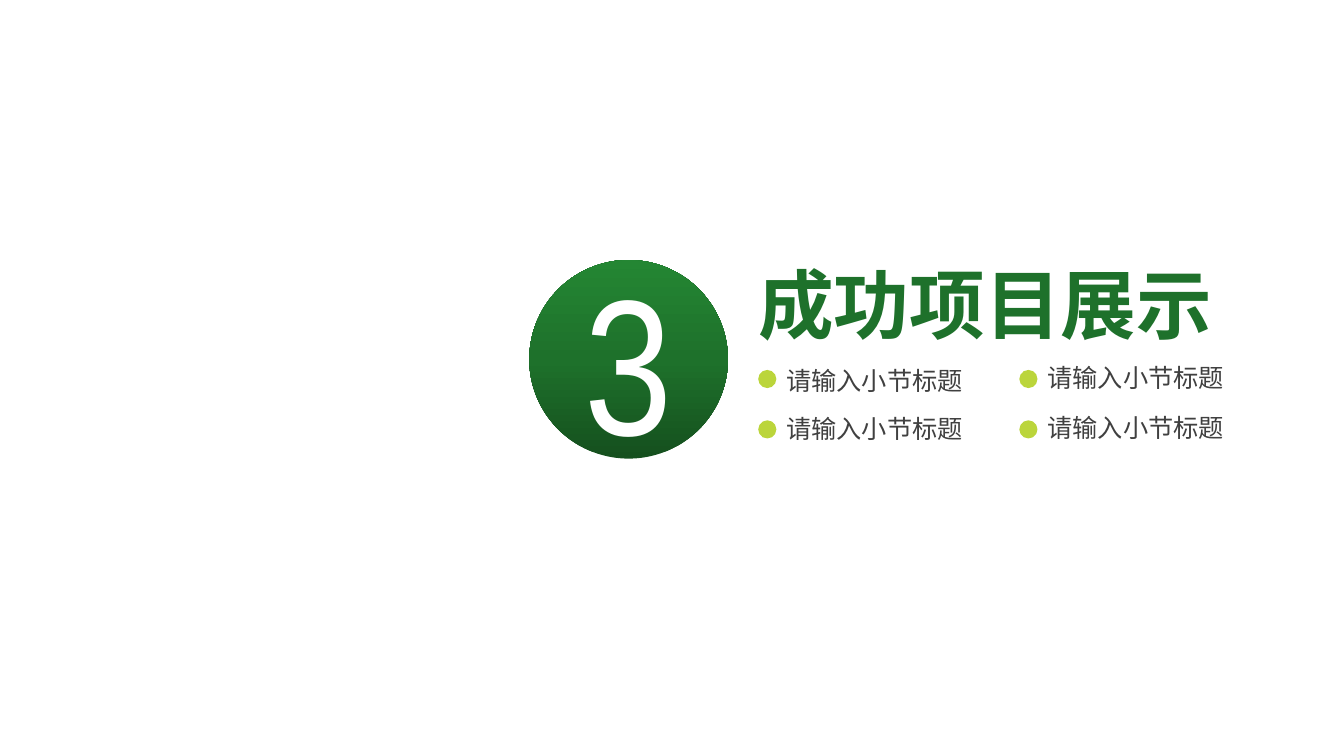
from copy import deepcopy

from lxml.etree import SubElement
from pptx import Presentation
from pptx.dml.color import RGBColor
from pptx.enum.shapes import MSO_SHAPE as Preset
from pptx.enum.text import MSO_ANCHOR as Anchor, MSO_AUTO_SIZE as AutoSize, PP_ALIGN as Align
from pptx.oxml.ns import qn
from pptx.util import Inches, Pt

DARK_GREEN = RGBColor(0x15, 0x50, 0x1E)
MID_GREEN = RGBColor(0x1E, 0x71, 0x2B)
BRIGHT_GREEN = RGBColor(0x24, 0x86, 0x33)
LIME = RGBColor(0xBB, 0xD5, 0x3B)
GRAY = RGBColor(0x40, 0x40, 0x40)
WHITE = RGBColor(0xFF, 0xFF, 0xFF)

CHINESE_FONT = "Noto Sans CJK SC"
TITLE_FORMAT = {"name": CHINESE_FONT, "size": Pt(54), "bold": True}
SECTION_FORMAT = {"name": CHINESE_FONT, "size": Pt(18)}
NUMBER_FORMAT = {"name": "Arial Narrow", "size": Pt(138)}

DOT_SIZE = 0.18
DOT_LEFTS = (7.52, 10.11)
DOT_TOPS = (3.67, 4.17)
SECTION_TOPS = ((3.58, 3.55), (4.05, 4.04))
SECTION_TITLE = "请输入小节标题"


def fill_green_gradient(fill, element):
    fill.gradient()
    fill.gradient_angle = 90
    stop_list = element.find(".//" + qn("a:gsLst"))
    stop_list.insert(1, deepcopy(stop_list[0]))
    colors = (DARK_GREEN, MID_GREEN, BRIGHT_GREEN)
    for stop, position, color in zip(fill.gradient_stops, (0, 0.5, 1), colors):
        stop.position = position
        stop.color.rgb = color


def write_text(shape, text, font_format, align=Align.LEFT):
    frame = shape.text_frame
    frame_format = {
        "word_wrap": False,
        "auto_size": AutoSize.SHAPE_TO_FIT_TEXT,
        "vertical_anchor": Anchor.TOP,
    }
    for name, value in frame_format.items():
        setattr(frame, name, value)
    paragraph = frame.paragraphs[0]
    paragraph.alignment = align
    run = paragraph.add_run()
    run.text = text
    for name, value in font_format.items():
        setattr(run.font, name, value)
    return run


def set_east_asian_font(run):
    properties = run._r.get_or_add_rPr()
    SubElement(properties, qn("a:ea")).set("typeface", CHINESE_FONT)


def add_title(slide, text):
    title = slide.shapes.title
    box = {"left": 7.42, "top": 2.51, "width": 4.75, "height": 1.01}
    for name, value in box.items():
        setattr(title, name, Inches(value))
    run = write_text(title, text, TITLE_FORMAT)
    fill_green_gradient(run.font.fill, run._r)
    set_east_asian_font(run)


def add_text(slide, text, left, top, width, height, font_format, color, align=Align.LEFT):
    box = slide.shapes.add_textbox(Inches(left), Inches(top), Inches(width), Inches(height))
    run = write_text(box, text, font_format, align)
    run.font.color.rgb = color
    return run


def add_circle(slide, left, top, size):
    circle = slide.shapes.add_shape(
        Preset.OVAL, Inches(left), Inches(top), Inches(size), Inches(size)
    )
    circle.shadow.inherit = False
    circle.line.fill.background()
    return circle


def add_section(slide, left, dot_top, text_top):
    dot = add_circle(slide, left, dot_top, DOT_SIZE)
    dot.fill.solid()
    dot.fill.fore_color.rgb = LIME
    run = add_text(
        slide, SECTION_TITLE, left + DOT_SIZE, text_top, 1.97, 0.4, SECTION_FORMAT, GRAY
    )
    set_east_asian_font(run)


def add_number(slide, number):
    circle = add_circle(slide, 5.25, 2.58, 1.97)
    fill_green_gradient(circle.fill, circle._element)
    add_text(slide, number, 5.62, 2.35, 1.23, 2.42, NUMBER_FORMAT, WHITE, Align.CENTER)


def main():
    presentation = Presentation()
    presentation.slide_width = Inches(13.33)
    presentation.slide_height = Inches(7.5)
    slide = presentation.slides.add_slide(presentation.slide_layouts[5])
    add_title(slide, "成功项目展示")
    for dot_top, text_tops in zip(DOT_TOPS, SECTION_TOPS):
        for left, text_top in zip(DOT_LEFTS, text_tops):
            add_section(slide, left, dot_top, text_top)
    add_number(slide, "3")
    presentation.save("out.pptx")


if __name__ == "__main__":
    main()
